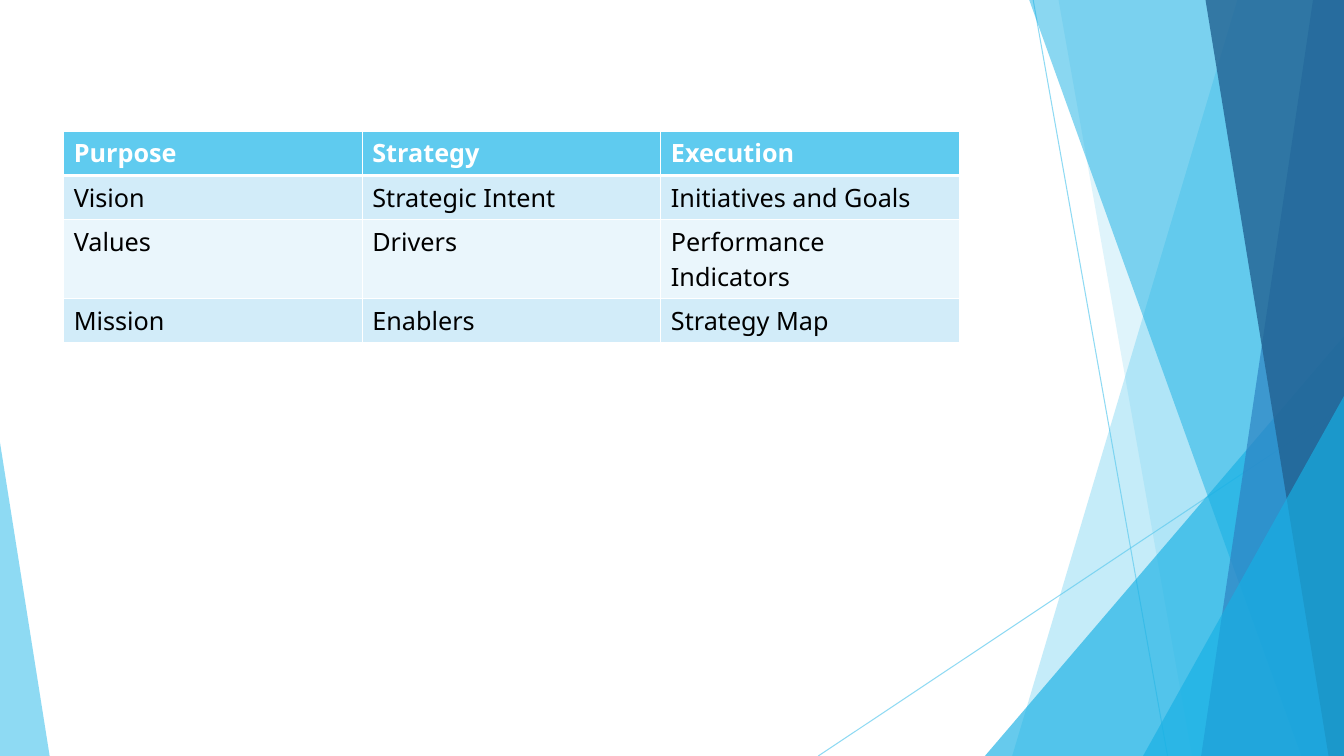
from lxml import etree
from pptx import Presentation
from pptx.dml.color import RGBColor
from pptx.enum.shapes import MSO_CONNECTOR, MSO_SHAPE
from pptx.oxml.ns import qn
from pptx.util import Pt

STRAIGHT = MSO_CONNECTOR.STRAIGHT
TRIANGLE = MSO_SHAPE.ISOSCELES_TRIANGLE

WHITE = RGBColor(0xFF, 0xFF, 0xFF)
BLACK = RGBColor(0x00, 0x00, 0x00)
SKY = RGBColor(0x5F, 0xCB, 0xEF)
CYAN = RGBColor(0x17, 0xB0, 0xE4)
BLUE = RGBColor(0x2E, 0x83, 0xC3)
NAVY = RGBColor(0x22, 0x62, 0x92)
BAND_DARK = RGBColor(0xD2, 0xEC, 0xF9)
BAND_LIGHT = RGBColor(0xEA, 0xF6, 0xFC)

WIDTH, HEIGHT = 960, 540
BAND_TOP = -0.6
HEADER_FONT = {"name": "Noto Sans", "size": Pt(18), "bold": True}
BODY_FONT = {"name": "Noto Sans", "size": Pt(18), "bold": False}

ROWS = [
    ["Purpose", "Strategy", "Execution"],
    ["Vision", "Strategic Intent", "Initiatives and Goals"],
    ["Values", "Drivers", "Performance Indicators"],
    ["Mission", "Enablers", "Strategy Map"],
]


def set_opacity(element, percent):
    color = element.find(".//" + qn("a:srgbClr"))
    etree.SubElement(color, qn("a:alpha"), val=str(percent * 1000))


def style_facet(shape, color, opacity):
    shape.shadow.inherit = False
    shape.fill.solid()
    shape.fill.fore_color.rgb = color
    set_opacity(shape.fill._xPr, opacity)
    shape.line.fill.background()


def add_ray(slide, *ends):
    ray = slide.shapes.add_connector(STRAIGHT, *(Pt(value) for value in ends))
    ray.line.width = Pt(0.75)
    ray.line.color.rgb = SKY
    properties = ray._element.spPr
    set_opacity(properties, 70)
    etree.SubElement(properties, qn("a:effectLst"))


def add_band(slide, top_left, bottom_left, color, opacity):
    builder = slide.shapes.build_freeform(Pt(top_left), Pt(BAND_TOP))
    corners = [(WIDTH, BAND_TOP), (WIDTH, HEIGHT), (bottom_left, HEIGHT)]
    builder.add_line_segments([(Pt(x), Pt(y)) for x, y in corners])
    style_facet(builder.convert_to_shape(), color, opacity)


def add_triangle(slide, left, top, width, apex, color, opacity):
    shape = slide.shapes.add_shape(
        TRIANGLE, Pt(left), Pt(top), Pt(width), Pt(HEIGHT - top))
    shape.adjustments[0] = apex
    style_facet(shape, color, opacity)


def add_border(cell, side, width):
    border = etree.SubElement(
        cell._tc.get_or_add_tcPr(), qn("a:ln" + side), w=str(Pt(width)))
    fill = etree.SubElement(border, qn("a:solidFill"))
    etree.SubElement(fill, qn("a:srgbClr"), val=str(WHITE))


def format_cell(cell, text, row):
    cell.text = text
    font = cell.text_frame.paragraphs[0].runs[0].font
    for name, value in (BODY_FONT if row else HEADER_FONT).items():
        setattr(font, name, value)
    font.color.rgb = BLACK if row else WHITE
    widths = {"L": 1, "R": 1, "T": 3 if row == 1 else 1, "B": 1 if row else 3}
    for side, width in widths.items():
        add_border(cell, side, width)
    cell.fill.solid()
    band = BAND_DARK if row % 2 else BAND_LIGHT
    cell.fill.fore_color.rgb = band if row else SKY


def add_strategy_table(slide):
    frame = slide.shapes.add_table(
        len(ROWS), len(ROWS[0]), Pt(45.5), Pt(93.6), Pt(639.9), Pt(116.8))
    for row, texts in enumerate(ROWS):
        for column, text in enumerate(texts):
            format_cell(frame.table.cell(row, column), text, row)


def add_facets(slide):
    add_ray(slide, 738, 0, 834, HEIGHT)
    add_ray(slide, WIDTH, 290, 584.5, HEIGHT)
    add_band(slide, 884, 723, SKY, 36)
    add_band(slide, 756, 851.5, SKY, 20)
    add_triangle(slide, 703.5, 240, 256.5, 1, CYAN, 66)
    add_band(slide, 735, 929.5, CYAN, 50)
    add_band(slide, 938, 858, BLUE, 70)
    add_band(slide, 861, 949, NAVY, 80)
    add_triangle(slide, 816.5, 283, 143.5, 1, CYAN, 66)
    add_triangle(slide, 0, 316, 35.5, 0, SKY, 70)


def main():
    presentation = Presentation()
    presentation.slide_width = Pt(WIDTH)
    presentation.slide_height = Pt(HEIGHT)
    slide = presentation.slides.add_slide(presentation.slide_layouts[6])
    add_facets(slide)
    add_strategy_table(slide)
    presentation.save("out.pptx")


if __name__ == "__main__":
    main()
